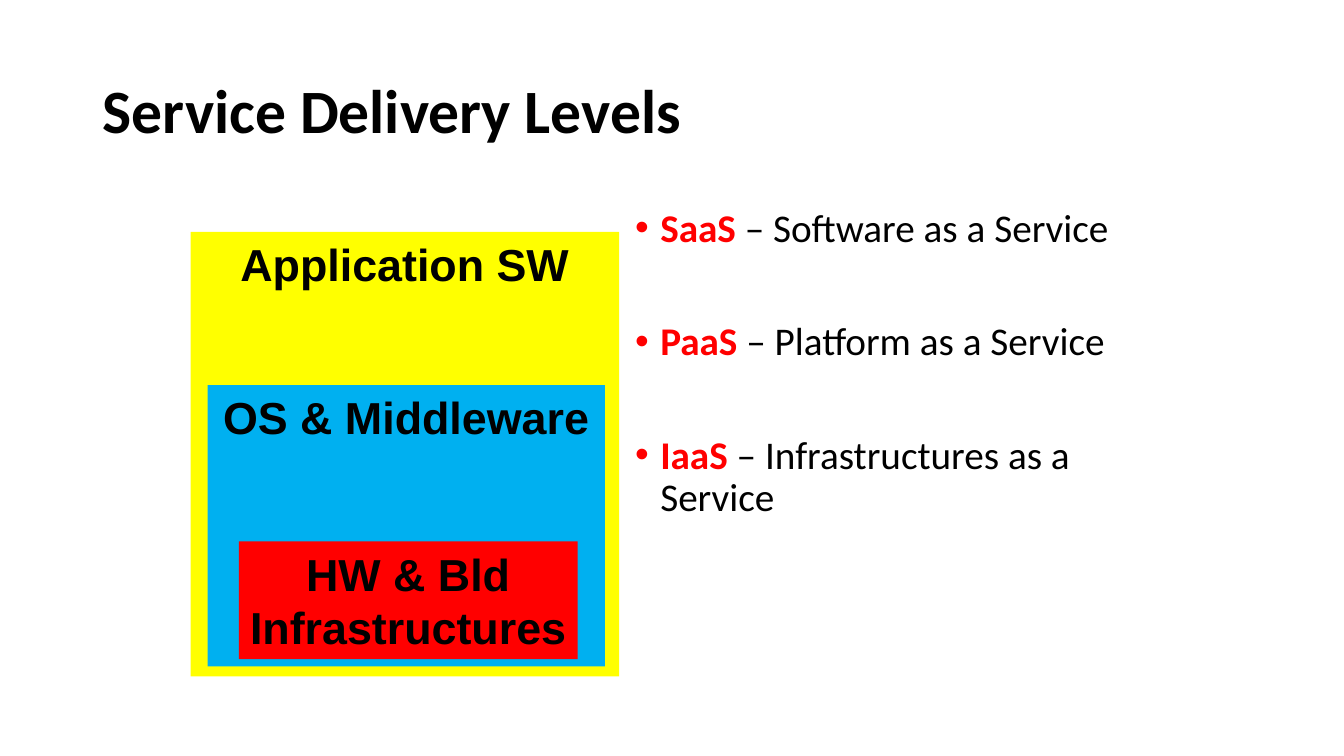
from lxml import etree
from pptx import Presentation
from pptx.dml.color import RGBColor
from pptx.enum.shapes import MSO_SHAPE
from pptx.enum.text import MSO_ANCHOR, PP_ALIGN
from pptx.oxml.ns import qn
from pptx.util import Inches, Pt

RECTANGLE = MSO_SHAPE.RECTANGLE
TOP, MIDDLE = MSO_ANCHOR.TOP, MSO_ANCHOR.MIDDLE
CENTER = PP_ALIGN.CENTER
BLACK = RGBColor(0x00, 0x00, 0x00)
YELLOW = RGBColor(0xFF, 0xFF, 0x00)
BLUE = RGBColor(0x00, 0xB0, 0xF0)
RED = RGBColor(0xFF, 0x00, 0x00)

LAYERS = [
    ("Application SW", YELLOW, (1.89, 2.3, 4.25, 4.41)),
    ("OS & Middleware", BLUE, (2.06, 3.82, 3.94, 2.79)),
    ("HW & Bld Infrastructures", RED, (2.37, 5.37, 3.36, 1.17)),
]
SERVICES = [
    ("SaaS", "Software as a Service"),
    ("PaaS", "Platform as a Service"),
    ("IaaS", "Infrastructures as a Service"),
]


def add_text(paragraph, text, *, size, font="Calibri", color=BLACK, bold=False):
    """Append a formatted run to a paragraph."""
    run = paragraph.add_run()
    run.text = text
    run.font.name = font
    run.font.size = Pt(size)
    run.font.bold = bold
    run.font.color.rgb = color


def add_text_frame(slide, box, anchor=TOP):
    """Add a wrapping text box and return its text frame."""
    frame = slide.shapes.add_textbox(*map(Inches, box)).text_frame
    frame.word_wrap = True
    frame.vertical_anchor = anchor
    return frame


def add_layer(slide, label, fill, box):
    """Add one labelled rectangle of the nested stack."""
    layer = slide.shapes.add_shape(RECTANGLE, *map(Inches, box))
    layer.shadow.inherit = False
    layer.fill.solid()
    layer.fill.fore_color.rgb = fill
    layer.line.fill.background()
    frame = layer.text_frame
    frame.word_wrap = True
    frame.vertical_anchor = TOP
    paragraph = frame.paragraphs[0]
    paragraph.alignment = CENTER
    add_text(paragraph, label, size=32, font="Arial", bold=True)


def set_bullet(paragraph):
    """Give a paragraph a hanging round bullet."""
    properties = paragraph._p.get_or_add_pPr()
    properties.set("marL", str(Inches(0.25)))
    properties.set("indent", str(Inches(-0.25)))
    etree.SubElement(properties, qn("a:buFont")).set("typeface", "Arial")
    etree.SubElement(properties, qn("a:buChar")).set("char", "•")


def add_services(slide, services, box):
    """Add the bulleted list of service levels."""
    frame = add_text_frame(slide, box)
    for index, (acronym, meaning) in enumerate(services):
        paragraph = frame.add_paragraph() if index else frame.paragraphs[0]
        paragraph.line_spacing = 0.9
        paragraph.space_before = Pt(50.75 if index else 10)
        set_bullet(paragraph)
        add_text(paragraph, f"{acronym} ", size=28, color=RED, bold=True)
        add_text(paragraph, f"– {meaning}", size=28)


def add_title(slide, title, box):
    """Add the slide title."""
    paragraph = add_text_frame(slide, box, MIDDLE).paragraphs[0]
    paragraph.line_spacing = 0.9
    add_text(paragraph, title, size=44, bold=True)


def main():
    """Build and save the slide."""
    deck = Presentation()
    deck.slide_width, deck.slide_height = Inches(13.33), Inches(7.5)
    slide = deck.slides.add_slide(deck.slide_layouts[6])
    add_title(slide, "Service Delivery Levels", (0.92, 0.4, 11.5, 1.45))
    for label, fill, box in LAYERS:
        add_layer(slide, label, fill, box)
    add_services(slide, SERVICES, (6.2, 2.02, 5.11, 5.13))
    deck.save("out.pptx")


if __name__ == "__main__":
    main()
